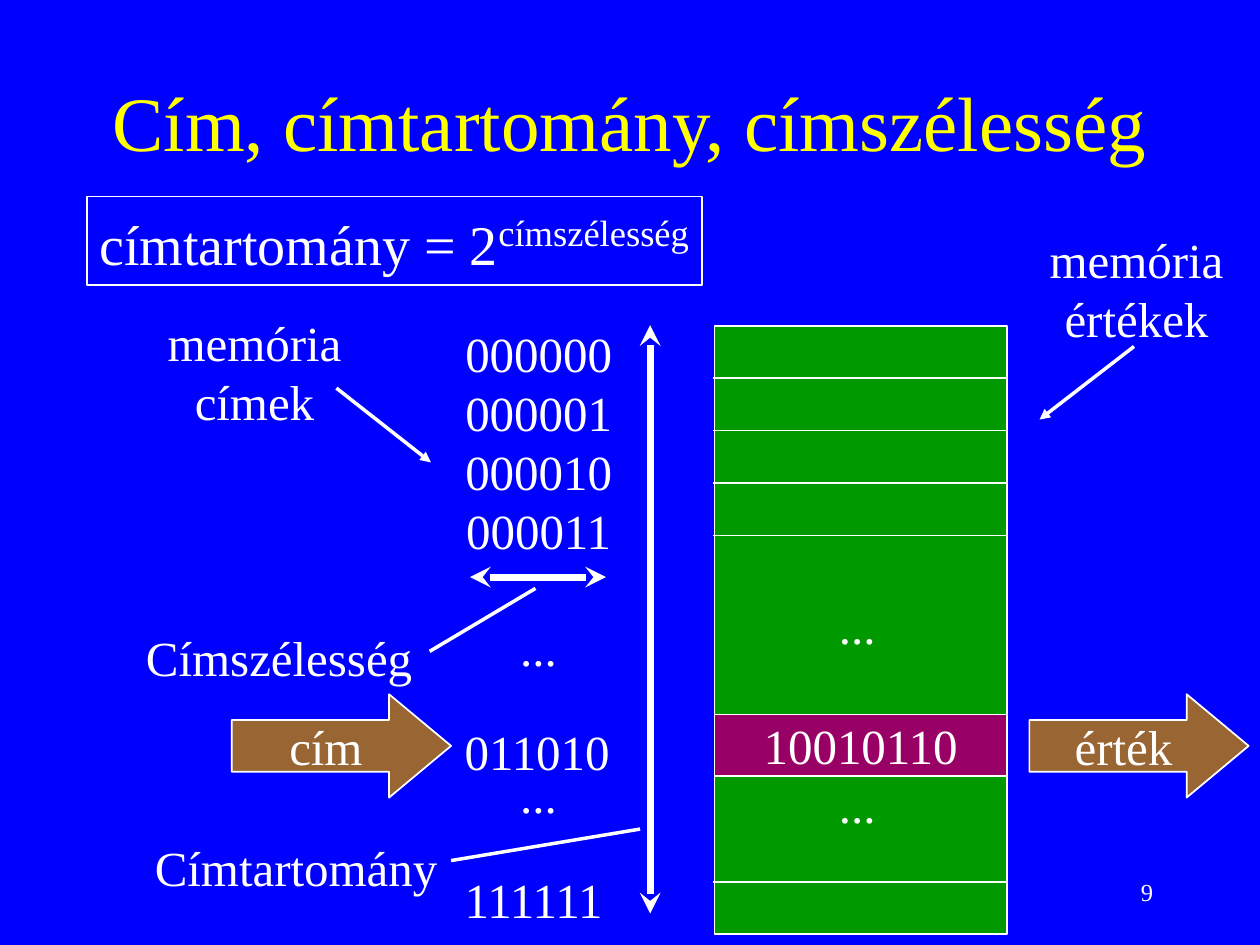
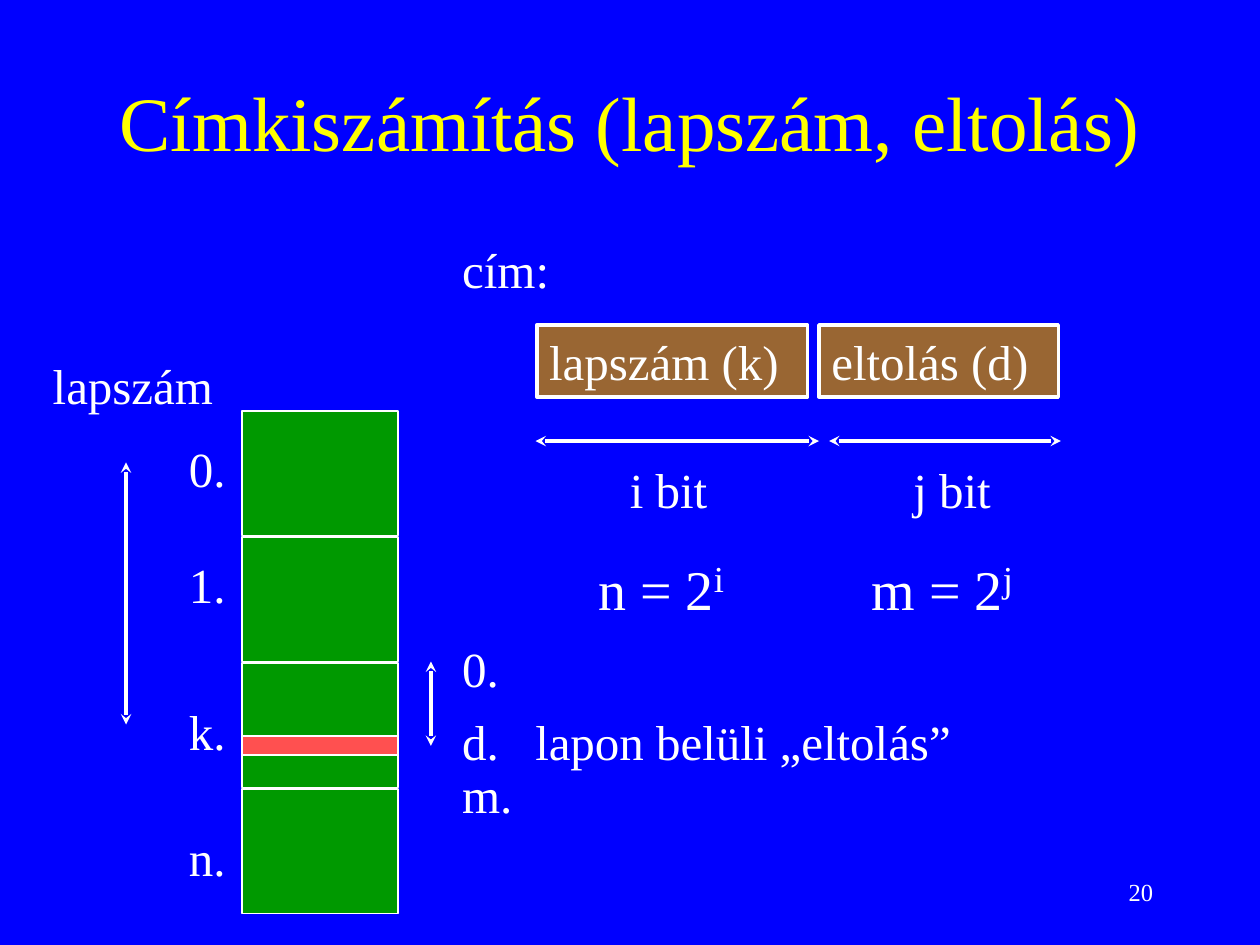
from pptx import Presentation
from pptx.dml.color import RGBColor
from pptx.enum.shapes import MSO_CONNECTOR, MSO_SHAPE
from pptx.enum.text import MSO_ANCHOR, PP_ALIGN
from pptx.oxml.ns import qn
from pptx.util import Inches, Pt
from lxml.etree import SubElement

BLUE = RGBColor(0, 0, 255)
YELLOW = RGBColor(255, 255, 0)
WHITE = RGBColor(255, 255, 255)
GREEN = RGBColor(0, 153, 0)
PURPLE = RGBColor(153, 0, 102)
BROWN = RGBColor(153, 102, 51)
RED = RGBColor(255, 80, 80)
FACE = "Times New Roman"
LEFT, MID, RIGHT = PP_ALIGN.LEFT, PP_ALIGN.CENTER, PP_ALIGN.RIGHT
LINE_H = 0.57

# Slide 1: labels are (text, left, top, width)
MEMORY = (5.67, 2.59, 2.32, 4.82)
CELL = (5.67, 5.67, 2.32, 0.49)
CELL_EDGES = [3 + i * 5 / 12 for i in range(4)] + [7]
ADDRESS_LABELS = [
    ("Címtartomány", 1.13, 6.6, 2.45),
    ("Címszélesség", 1.06, 4.93, 2.32),
    ("111111", 3.59, 6.85, 1.37),
    ("011010", 3.59, 5.68, 1.37),
    ("...", 4.03, 6.02, 0.49),
    ("...", 4.03, 4.85, 0.49),
    ("...", 6.56, 4.68, 0.49),
    ("...", 6.56, 6.1, 0.49),
]
STACKS = [
    (["000000", "000001", "000010", "000011"], (3.59, 2.52, 1.37, 1.97)),
    (["memória", "címek"], (1.23, 2.43, 1.58, 1.04)),
    (["memória", "értékek"], (8.23, 1.77, 1.58, 1.04)),
]
FLOW = [("cím", 1.84), ("érték", 8.17)]
SPANS = [(3.73, 4.58, 4.81, 4.58), (5.16, 7.25, 5.16, 2.58)]
LEADERS = [(4.25, 4.67, 3.41, 5.17), (5.08, 6.58, 3.58, 6.83)]
POINTERS = [(9, 2.75, 8.25, 3.33), (2.67, 3.08, 3.42, 3.67)]

# Slide 2
PAGE_X, PAGE_W, PAGE_H = 1.92, 1.24, 0.99
PAGE_TOPS = [3.26 + i for i in range(4)]
PAGE_NAMES = [("0.", 3.43), ("1.", 4.35), ("k.", 5.52), ("n.", 6.52)]
PAGE_LABELS = [
    ("lapszám", 0.32, 2.77, 1.47),
    ("lapon belüli „eltolás”", 4.15, 5.6, 3.6),
    ("cím:", 3.57, 1.85, 0.89),
    ("0.", 3.57, 5.02, 0.49),
    ("d.", 3.57, 5.6, 0.49),
    ("m.", 3.57, 6.02, 0.6),
    ("i bit", 4.9, 3.6, 0.82),
    ("j bit", 7.15, 3.6, 0.82),
]
FIELDS = [("lapszám (k)", 4.26, 2.15), ("eltolás (d)", 6.5, 1.9)]
POWERS = [("n = 2", "i", 4.65, 1.2), ("m = 2", "j", 6.82, 1.33)]
RANGES = [(3.42, 5.25, 3.42, 5.92), (4.25, 3.5, 6.5, 3.5),
          (6.58, 3.5, 8.42, 3.5), (1, 3.67, 1, 5.75)]


def style(run, size, color=WHITE):
    for key, value in {"name": FACE, "size": Pt(size)}.items():
        setattr(run.font, key, value)
    run.font.color.rgb = color


def write(shape, lines, size=28, align=LEFT, anchor=MSO_ANCHOR.TOP,
          wrap=False, power=None):
    """Fill a shape with one paragraph a line; power is a closing exponent."""
    frame = shape.text_frame
    frame.word_wrap, frame.vertical_anchor = wrap, anchor
    for i, line in enumerate(lines):
        para = frame.add_paragraph() if i else frame.paragraphs[0]
        para.alignment = align
        run = para.add_run()
        run.text = line
        style(run, size)
    if power:
        run = para.add_run()
        run.text = power
        style(run, 36)
        run.font._element.set("baseline", "30000")


def label(slide, lines, box, **form):
    write(slide.shapes.add_textbox(*map(Inches, box)), lines, **form)


def block(slide, box, fill=None, width=1, kind=MSO_SHAPE.RECTANGLE):
    shape = slide.shapes.add_shape(kind, *map(Inches, box))
    shape.shadow.inherit = False
    if fill is None:
        shape.fill.background()
    else:
        shape.fill.solid()
        shape.fill.fore_color.rgb = fill
    shape.line.color.rgb = WHITE
    shape.line.width = Pt(width)
    return shape


def stroke(slide, ends, width=2, head=None, tail=None):
    link = slide.shapes.add_connector(MSO_CONNECTOR.STRAIGHT, *map(Inches, ends))
    link.line.color.rgb = WHITE
    link.line.width = Pt(width)
    for tag, tip in (("a:headEnd", head), ("a:tailEnd", tail)):
        if tip:
            SubElement(link.line._get_or_add_ln(), qn(tag), type=tip)
    SubElement(link._element.spPr, qn("a:effectLst"))


def start(deck, title, number):
    slide = deck.slides.add_slide(deck.slide_layouts[5])
    head = slide.shapes.title
    spot = map(Inches, (0.75, 0.33, 8.5, 1.25))
    for key, value in zip(("left", "top", "width", "height"), spot):
        setattr(head, key, value)
    write(head, [title], size=44, align=MID, anchor=MSO_ANCHOR.MIDDLE, wrap=True)
    head.text_frame.paragraphs[0].runs[0].font.color.rgb = YELLOW
    label(slide, [number], (7.17, 6.83, 2.08, 0.5), size=14, align=RIGHT,
          anchor=MSO_ANCHOR.MIDDLE, wrap=True)
    return slide


def address(deck):
    slide = start(deck, "Cím, címtartomány, címszélesség", "9")
    block(slide, MEMORY, GREEN)
    centred = {"align": MID, "anchor": MSO_ANCHOR.MIDDLE}
    write(block(slide, CELL, PURPLE), ["10010110"], **centred)
    for y in CELL_EDGES:
        stroke(slide, (5.66, y, 8, y), width=1)
    for text, x, y, w in ADDRESS_LABELS:
        label(slide, [text], (x, y, w, LINE_H))
    for lines, box in STACKS:
        label(slide, lines, box, align=MID)
    for text, x in FLOW:
        arrow = block(slide, (x, 5.51, 1.74, 0.82), BROWN,
                      kind=MSO_SHAPE.RIGHT_ARROW)
        arrow.adjustments[1] = 0.6
        write(arrow, [text], **centred)
    write(block(slide, (0.69, 1.56, 4.88, 0.7)), ["címtartomány = 2"],
          size=32, power="címszélesség")
    for ends in SPANS:
        stroke(slide, ends, width=4, head="stealth", tail="stealth")
    for ends in LEADERS:
        stroke(slide, ends)
    for ends in POINTERS:
        stroke(slide, ends, tail="triangle")


def paging(deck):
    slide = start(deck, "Címkiszámítás (lapszám, eltolás)", "20")
    for y in PAGE_TOPS:
        block(slide, (PAGE_X, y, PAGE_W, PAGE_H), GREEN)
    block(slide, (PAGE_X, 5.84, PAGE_W, 0.15), RED)
    names = [(text, 1.4, y, 0.49) for text, y in PAGE_NAMES]
    for text, x, y, w in names + PAGE_LABELS:
        label(slide, [text], (x, y, w, LINE_H))
    for text, x, w in FIELDS:
        write(block(slide, (x, 2.58, w, LINE_H), BROWN, 2), [text], wrap=True)
    for base, power, x, w in POWERS:
        label(slide, [base], (x, 4.3, w, 0.7), size=32, power=power)
    for ends in RANGES:
        stroke(slide, ends, head="stealth", tail="stealth")


def main():
    deck = Presentation()
    deck.slide_width, deck.slide_height = Inches(10), Inches(7.5)
    ground = deck.slide_master.background.fill
    ground.solid()
    ground.fore_color.rgb = BLUE
    address(deck)
    paging(deck)
    deck.save("out.pptx")


if __name__ == "__main__":
    main()
